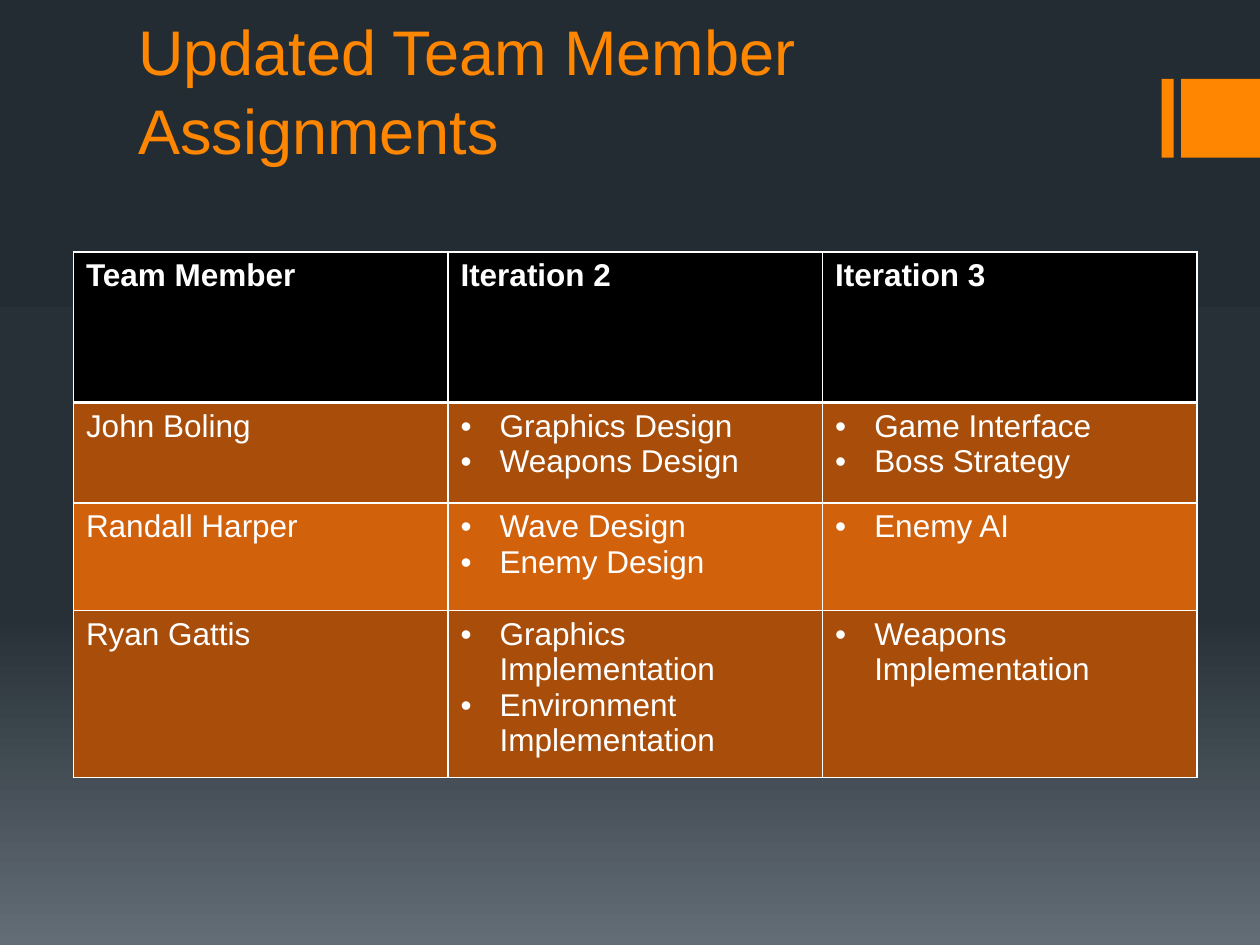
import pptx
import pptx.util
from dataclasses import dataclass
from lxml import etree
from pptx.dml.color import RGBColor
from pptx.enum.shapes import MSO_SHAPE
from pptx.enum.text import MSO_ANCHOR
from pptx.oxml import parse_xml
from pptx.oxml.ns import nsdecls, qn
from pptx.util import Cm


@dataclass(frozen=True)
class Theme:
    font: str = "Arial"
    title_size: int = 36
    body_size: int = 18
    accent: str = "FF8600"
    text: str = "FFFFFF"
    header: str = "000000"
    bands: tuple = ("A84E0A", "D2610C")
    background: tuple = ((0, "242C33"), (65, "273037"), (100, "636D76"))


THEME = Theme()
HEADINGS = ("Team Member", "Iteration 2", "Iteration 3")
ASSIGNMENTS = (
    ("John Boling",
     ("Graphics Design", "Weapons Design"),
     ("Game Interface", "Boss Strategy")),
    ("Randall Harper",
     ("Wave Design", "Enemy Design"),
     ("Enemy AI",)),
    ("Ryan Gattis",
     ("Graphics Implementation", "Environment Implementation"),
     ("Weapons Implementation",)),
)
ROW_HEIGHTS = (3.04, 2.02, 2.17, 3.36)
COLUMN_WIDTH = 7.55


def set_background(slide):
    """Fill the slide with the theme's vertical gradient."""
    fill = slide.background.fill
    fill.gradient()
    fill.gradient_angle = 270
    stops = fill.gradient_stops
    stop_list = slide.background._cSld.find(".//" + qn("a:gsLst"))
    for stop in list(stop_list):
        stop_list.remove(stop)
    for position, color in THEME.background:
        stop_list.append(parse_xml(
            f'<a:gs {nsdecls("a")} pos="{position * 1000}">'
            f'<a:srgbClr val="{color}"/></a:gs>'))


def add_run(paragraph, text, size, color, bold=False):
    run = paragraph.add_run()
    run.text = text
    run.font.name = THEME.font
    run.font.size = pptx.util.Pt(size)
    run.font.bold = bold
    run.font.color.rgb = RGBColor.from_string(color)


def add_accent_block(slide, left, width):
    height = 1.59
    shape = slide.shapes.add_shape(
        MSO_SHAPE.RECTANGLE, Cm(left), Cm(1.59), Cm(width), Cm(height))
    shape.shadow.inherit = False
    shape.fill.solid()
    shape.fill.fore_color.rgb = RGBColor.from_string(THEME.accent)
    shape.line.fill.background()


def add_title(slide, text):
    box = slide.shapes.add_textbox(Cm(2.54), Cm(0.3), Cm(20.32), Cm(3.2))
    frame = box.text_frame
    frame.word_wrap = True
    frame.vertical_anchor = MSO_ANCHOR.BOTTOM
    paragraph = frame.paragraphs[0]
    paragraph.line_spacing = 1.05
    add_run(paragraph, text, THEME.title_size, THEME.accent)


def add_bullet(paragraph):
    properties = paragraph._p.get_or_add_pPr()
    indent = Cm(0.79)
    properties.set("marL", str(indent))
    properties.set("indent", str(-indent))
    etree.SubElement(properties, qn("a:buFont")).set("typeface", THEME.font)
    etree.SubElement(properties, qn("a:buChar")).set("char", "•")


def add_bottom_border(cell, color, points):
    border = parse_xml(
        f'<a:lnB {nsdecls("a")} w="{pptx.util.Pt(points)}"><a:solidFill>'
        f'<a:srgbClr val="{color}"/></a:solidFill></a:lnB>')
    cell._tc.get_or_add_tcPr().insert(0, border)


def fill_cell(cell, content, fill, bold=False):
    """Write a plain string, or a tuple of strings as a bulleted list."""
    cell.fill.solid()
    cell.fill.fore_color.rgb = RGBColor.from_string(fill)
    bulleted = isinstance(content, tuple)
    frame = cell.text_frame
    for index, line in enumerate(content if bulleted else (content,)):
        paragraph = frame.add_paragraph() if index else frame.paragraphs[0]
        if bulleted:
            add_bullet(paragraph)
        add_run(paragraph, line, THEME.body_size, THEME.text, bold)


def add_assignment_table(slide):
    table = slide.shapes.add_table(
        len(ROW_HEIGHTS), len(HEADINGS), Cm(1.48), Cm(5.08),
        Cm(COLUMN_WIDTH * len(HEADINGS)), Cm(sum(ROW_HEIGHTS))).table
    for column in table.columns:
        column.width = Cm(COLUMN_WIDTH)
    for row, height in zip(table.rows, ROW_HEIGHTS):
        row.height = Cm(height)
    for cell, heading in zip(table.rows[0].cells, HEADINGS):
        fill_cell(cell, heading, THEME.header, bold=True)
        add_bottom_border(cell, THEME.text, 2)
    for index, assignment in enumerate(ASSIGNMENTS):
        band = THEME.bands[index % len(THEME.bands)]
        for cell, content in zip(table.rows[index + 1].cells, assignment):
            fill_cell(cell, content, band)


def main():
    presentation = pptx.Presentation()
    presentation.slide_width = Cm(25.4)
    presentation.slide_height = Cm(19.05)
    slide = presentation.slides.add_slide(presentation.slide_layouts[6])
    set_background(slide)
    add_accent_block(slide, left=23.42, width=0.24)
    add_accent_block(slide, left=23.81, width=1.59)
    add_title(slide, "Updated Team Member Assignments")
    add_assignment_table(slide)
    presentation.save("out.pptx")


if __name__ == "__main__":
    main()
